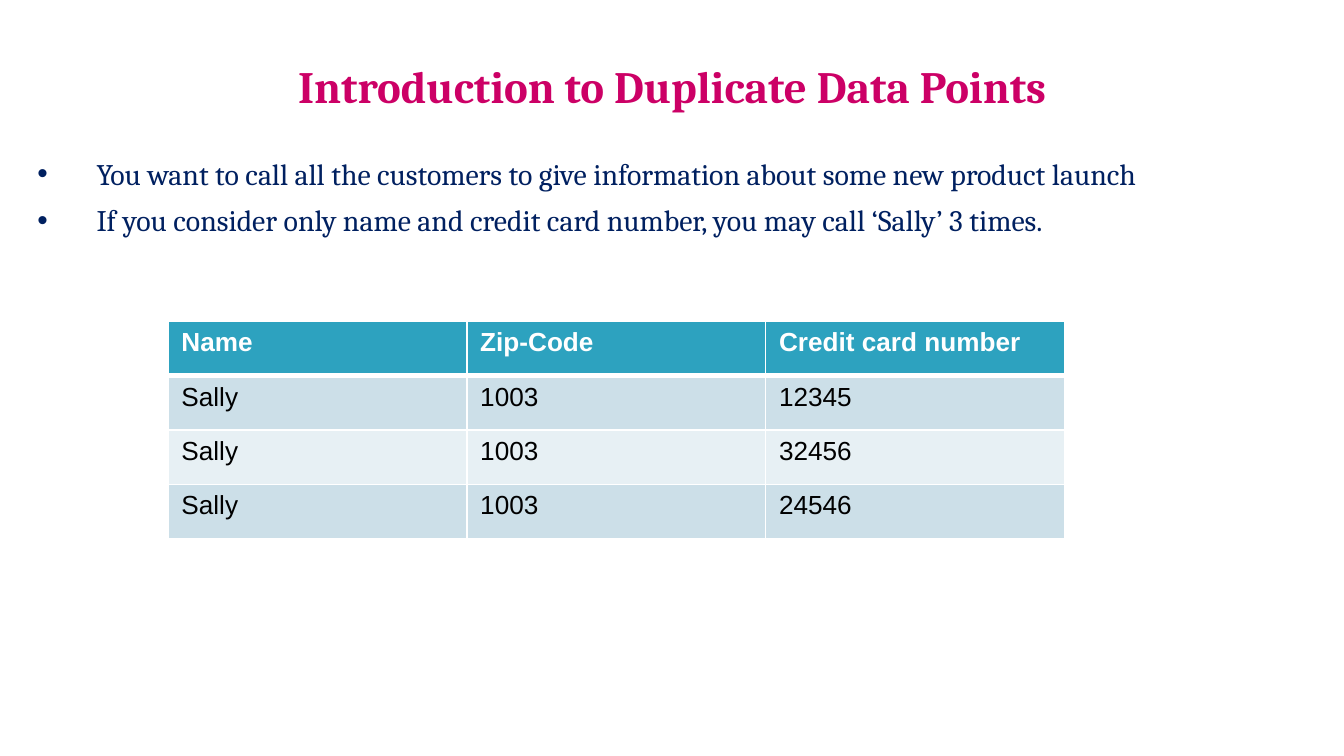
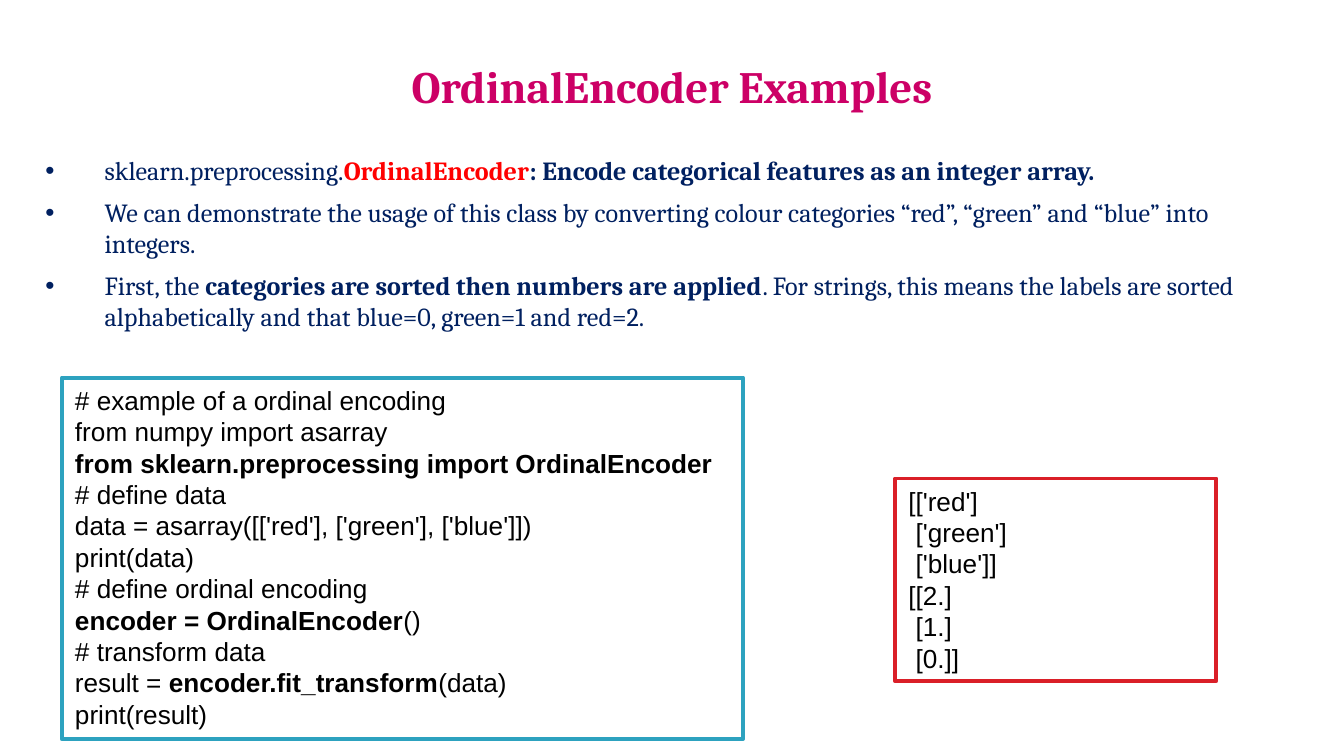
from dataclasses import dataclass
from typing import NamedTuple

from lxml.etree import SubElement
from pptx import Presentation
from pptx.dml.color import RGBColor
from pptx.enum.shapes import MSO_SHAPE
from pptx.enum.text import MSO_ANCHOR, PP_ALIGN
from pptx.oxml import parse_xml
from pptx.oxml.ns import nsdecls, qn
from pptx.slide import Slide
from pptx.table import _Cell
from pptx.text.text import TextFrame, _Paragraph
from pptx.util import Inches, Pt

COLORS = {
    "title": "CC0066",
    "body": "002060",
    "highlight": "FF0000",
    "teal": "2DA2BF",
    "red": "DA1F28",
    "dark_band": "CCDFE8",
    "light_band": "E7F0F4",
    "white": "FFFFFF",
    "black": "000000",
}
HEADING_FONT = "Cambria"
PLAIN_FONT = "Arial"
PLAIN_SIZE = 14
SLIDE_WIDTH = 10
SLIDE_HEIGHT = SLIDE_WIDTH * 9 / 16


class Box(NamedTuple):
    """Left, top, width and height in inches."""
    left: float
    top: float
    width: float
    height: float

    def lengths(self) -> list[Inches]:
        """Return the four measures as lengths."""
        return [Inches(value) for value in self]


class Span(NamedTuple):
    """A stretch of text with one look; no color means the color around it."""
    text: str
    bold: bool = False
    color: str = ""


@dataclass
class TextStyle:
    """Font, size in points and color of a block of text."""
    font: str
    size: float
    color: str
    bold: bool = False


@dataclass
class CodePanel:
    """A framed box with lines of code or output."""
    box: Box
    frame: str
    lines: list[list[Span]]


TITLE_BOX = Box(0.49, 0.31, 9.02, 0.66)
TITLE_STYLE = TextStyle(HEADING_FONT, 24, "title", True)
CODE_STYLE = TextStyle(PLAIN_FONT, PLAIN_SIZE, "black")


def rgb(name: str) -> RGBColor:
    """Look up a named color."""
    return RGBColor.from_string(COLORS[name])


def format_runs(paragraph: _Paragraph, style: TextStyle) -> None:
    """Give all runs of a paragraph one style."""
    for run in paragraph.runs:
        run.font.name = style.font
        run.font.size = Pt(style.size)
        run.font.bold = style.bold
        run.font.color.rgb = rgb(style.color)


def fill_paragraphs(frame: TextFrame, lines: list[list[Span]],
                    style: TextStyle) -> None:
    """Write each line as a paragraph, with its spans as runs."""
    frame.word_wrap = True
    for index, spans in enumerate(lines):
        paragraph = frame.add_paragraph() if index else frame.paragraphs[0]
        for span in spans:
            paragraph.add_run().text = span.text
        format_runs(paragraph, style)
        for run, span in zip(paragraph.runs, spans):
            run.font.bold = span.bold
            run.font.color.rgb = rgb(span.color or style.color)


def add_titled_slide(deck: Presentation, heading: str) -> Slide:
    """Add a white slide with the shared title style."""
    slide = deck.slides.add_slide(deck.slide_layouts[5])
    slide.background.fill.solid()
    slide.background.fill.fore_color.rgb = rgb("white")
    title = slide.shapes.title
    title.left, title.top, title.width, title.height = TITLE_BOX.lengths()
    frame = title.text_frame
    frame.text = heading
    frame.vertical_anchor = MSO_ANCHOR.MIDDLE
    frame.paragraphs[0].alignment = PP_ALIGN.CENTER
    format_runs(frame.paragraphs[0], TITLE_STYLE)
    return slide


def add_bullets(slide: Slide, box: Box, lines: list[list[Span]],
                size: float) -> None:
    """Add the bulleted body text."""
    frame = slide.shapes.add_textbox(*box.lengths()).text_frame
    fill_paragraphs(frame, lines, TextStyle(HEADING_FONT, size, "body"))
    for paragraph in frame.paragraphs:
        paragraph.space_before = Pt(5.6)
        properties = paragraph._p.get_or_add_pPr()
        properties.set("marL", str(Inches(0.5)))
        properties.set("indent", str(Inches(-0.44)))
        bullet_color = SubElement(properties, qn("a:buClr"))
        SubElement(bullet_color, qn("a:srgbClr"), val=COLORS["body"])
        SubElement(properties, qn("a:buFont"), typeface=PLAIN_FONT)
        SubElement(properties, qn("a:buChar"), char="•")


def set_borders(cell: _Cell, bottom: float) -> None:
    """Draw white cell borders, with a bottom width in points."""
    widths = {"lnL": 1, "lnR": 1, "lnT": 1, "lnB": bottom}
    properties = cell._tc.get_or_add_tcPr()
    for index, (side, width) in enumerate(widths.items()):
        properties.insert(index, parse_xml(
            f'<a:{side} {nsdecls("a")} w="{Pt(width)}"><a:solidFill>'
            f'<a:srgbClr val="{COLORS["white"]}"/></a:solidFill></a:{side}>'))


def add_banded_table(slide: Slide, box: Box, rows: list[list[str]]) -> None:
    """Add a table with a teal header and alternating bands."""
    table = slide.shapes.add_table(
        len(rows), len(rows[0]), *box.lengths()).table
    table.horz_banding = False
    for row_index, row in enumerate(rows):
        header = row_index == 0
        band = "dark_band" if row_index % 2 else "light_band"
        style = TextStyle(PLAIN_FONT, PLAIN_SIZE,
                          "white" if header else "black", header)
        for column_index, value in enumerate(row):
            cell = table.cell(row_index, column_index)
            cell.text = value
            format_runs(cell.text_frame.paragraphs[0], style)
            cell.fill.solid()
            cell.fill.fore_color.rgb = rgb("teal" if header else band)
            set_borders(cell, 3 if header else 1)


def add_code_panel(slide: Slide, panel: CodePanel) -> None:
    """Add a white framed box with its lines."""
    shape = slide.shapes.add_shape(MSO_SHAPE.RECTANGLE, *panel.box.lengths())
    shape.shadow.inherit = False
    shape.fill.solid()
    shape.fill.fore_color.rgb = rgb("white")
    shape.line.color.rgb = rgb(panel.frame)
    shape.line.width = Pt(2)
    frame = shape.text_frame
    frame.vertical_anchor = MSO_ANCHOR.TOP
    fill_paragraphs(frame, panel.lines, CODE_STYLE)
    for paragraph in frame.paragraphs:
        paragraph.alignment = PP_ALIGN.LEFT


DUPLICATE_POINTS = [
    [Span("You want to call all the customers to give information about "
          "some new product launch")],
    [Span("If you consider only name and credit card number, you may call "
          "‘Sally’ 3 times.")],
]
CUSTOMERS = [["Name", "Zip-Code", "Credit card number"]] + [
    ["Sally", "1003", card] for card in ("12345", "32456", "24546")]

ENCODER_POINTS = [
    [Span("sklearn.preprocessing."),
     Span("OrdinalEncoder", True, "highlight"),
     Span(": Encode categorical features as an integer array.", True)],
    [Span("We can demonstrate the usage of this class by converting colour "
          "categories “red”, “green” and “blue” into integers. ")],
    [Span("First, the "),
     Span("categories are sorted then numbers are applied", True),
     Span(". For strings, this means the labels are sorted alphabetically "
          "and that blue=0, green=1 and red=2.")],
]
ENCODER_CODE = CodePanel(Box(0.46, 2.81, 5.07, 2.69), "teal", [
    [Span("# example of a ordinal encoding")],
    [Span("from numpy import asarray")],
    [Span("from sklearn.preprocessing import OrdinalEncoder", True)],
    [Span("# define data")],
    [Span("data = asarray([['red'], ['green'], ['blue']])")],
    [Span("print(data)")],
    [Span("# define ordinal encoding")],
    [Span("encoder = OrdinalEncoder", True), Span("()")],
    [Span("# transform data")],
    [Span("result = "), Span("encoder.fit_transform", True), Span("(data)")],
    [Span("print(result)")],
])
ENCODER_OUTPUT = CodePanel(Box(6.66, 3.56, 2.39, 1.51), "red", [
    [Span(line)] for line in ("[['red']", " ['green']", " ['blue']]",
                              "[[2.]", " [1.]", " [0.]]")])


def main() -> None:
    """Build and save both slides."""
    deck = Presentation()
    deck.slide_width = Inches(SLIDE_WIDTH)
    deck.slide_height = Inches(SLIDE_HEIGHT)

    duplicates = add_titled_slide(deck, "Introduction to Duplicate Data Points")
    add_bullets(duplicates, Box(0.12, 1.11, 9.23, 3.84), DUPLICATE_POINTS, 16)
    add_banded_table(duplicates, Box(1.25, 2.39, 6.67, 1.62), CUSTOMERS)

    encoder = add_titled_slide(deck, "OrdinalEncoder Examples")
    add_bullets(encoder, Box(0.18, 1.1, 9.33, 3.84), ENCODER_POINTS, 14)
    for panel in (ENCODER_CODE, ENCODER_OUTPUT):
        add_code_panel(encoder, panel)

    deck.save("out.pptx")


main()
